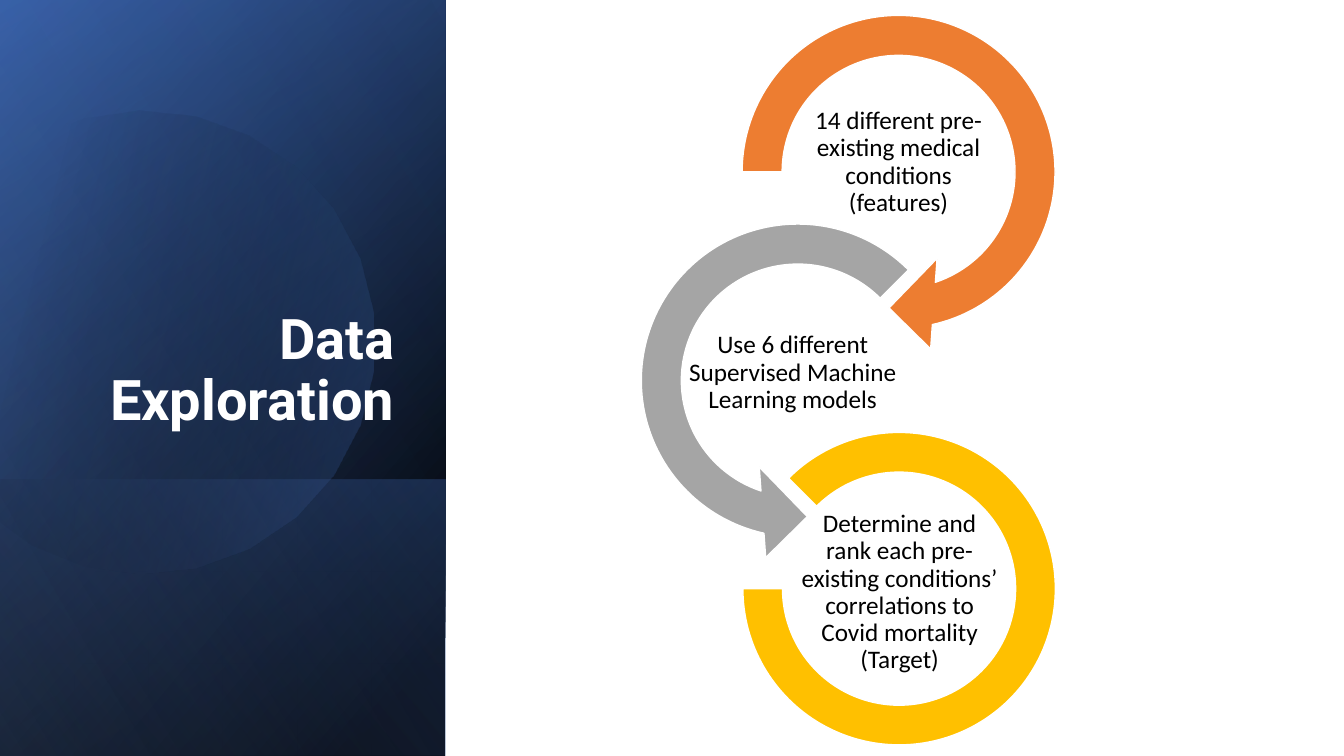
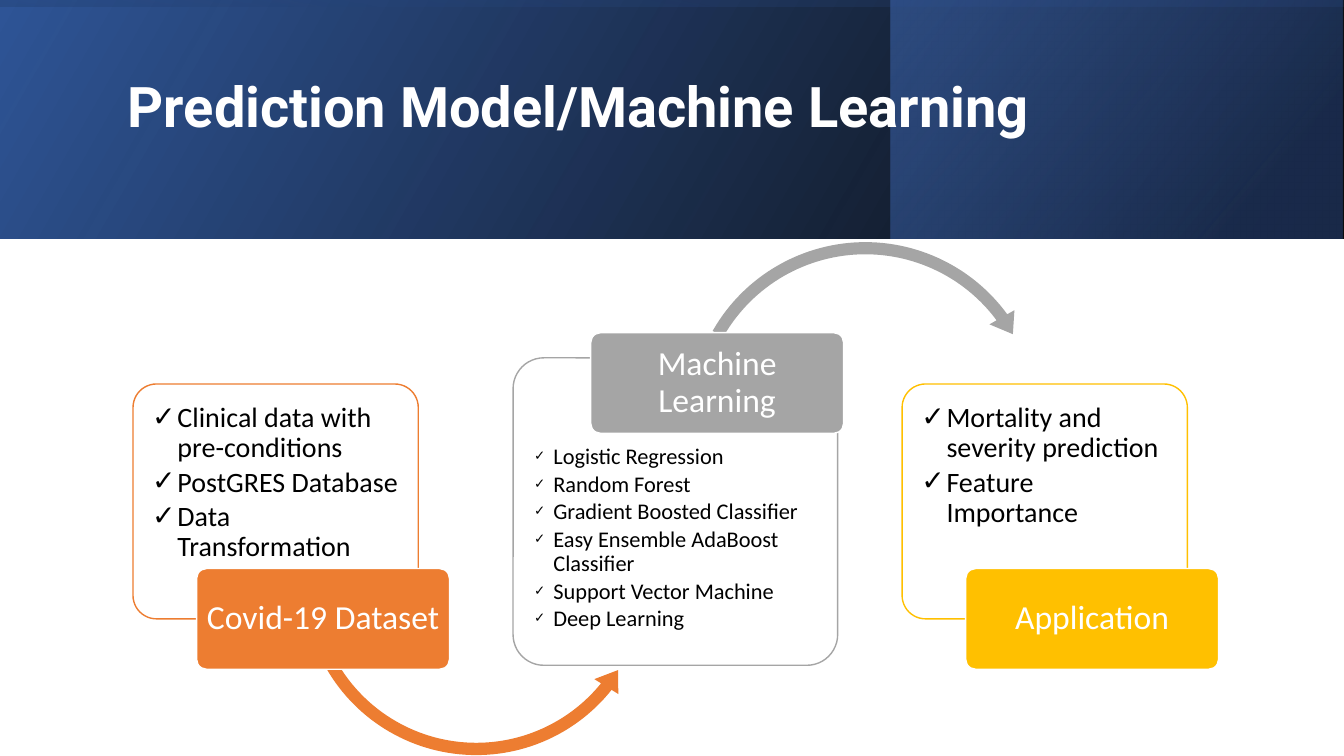
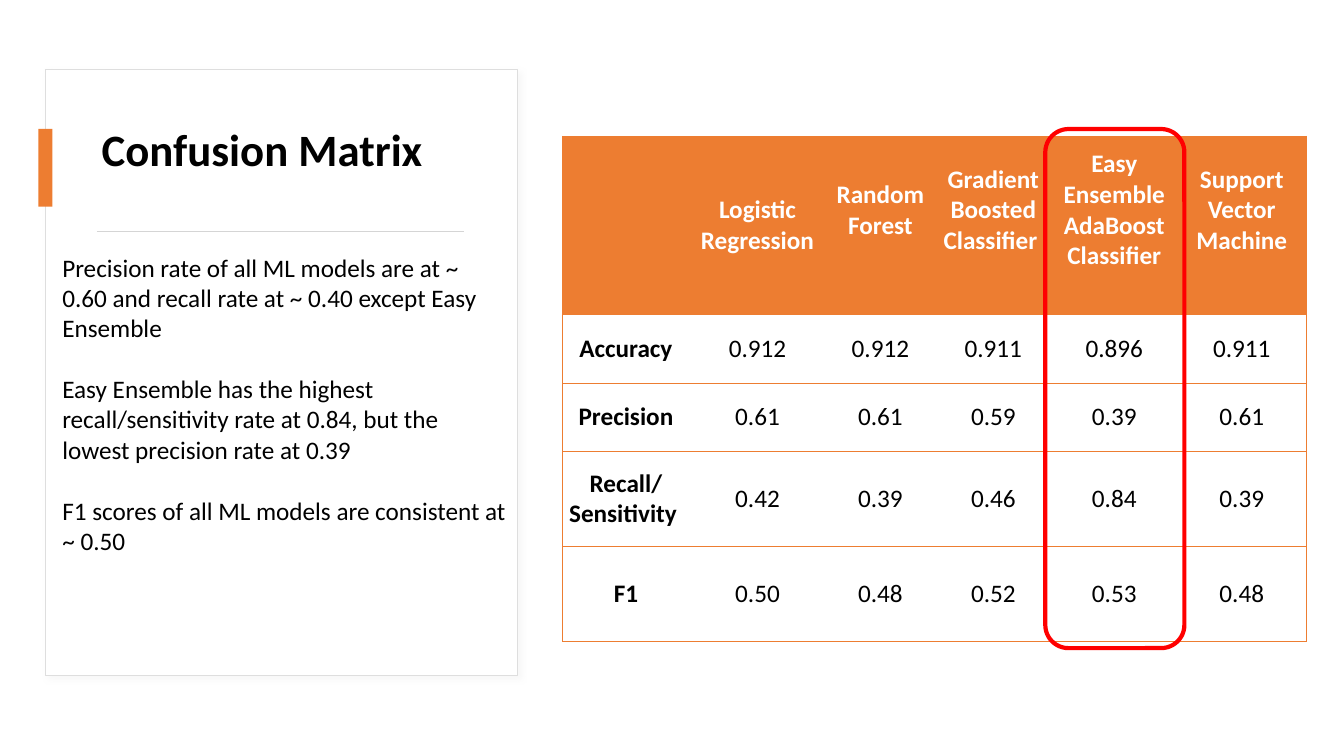
from dataclasses import dataclass
from math import cos, radians, sin
from typing import NamedTuple, Optional, Sequence

from lxml import etree
from pptx import Presentation
from pptx.dml.color import RGBColor
from pptx.enum.shapes import MSO_CONNECTOR, MSO_SHAPE
from pptx.enum.text import MSO_ANCHOR, PP_ALIGN
from pptx.oxml.ns import qn
from pptx.util import Inches, Pt

RECT = MSO_SHAPE.RECTANGLE
ROUND_RECT = MSO_SHAPE.ROUNDED_RECTANGLE
ARROW = MSO_SHAPE.CIRCULAR_ARROW
LEFT_ARROW = MSO_SHAPE.LEFT_CIRCULAR_ARROW
BLOCK_ARC = MSO_SHAPE.BLOCK_ARC
STRAIGHT = MSO_CONNECTOR.STRAIGHT
LEFT, CENTER, RIGHT = PP_ALIGN.LEFT, PP_ALIGN.CENTER, PP_ALIGN.RIGHT
TOP, MIDDLE, BOTTOM = MSO_ANCHOR.TOP, MSO_ANCHOR.MIDDLE, MSO_ANCHOR.BOTTOM
NO_STYLE = "{2D5ABB26-0587-4C30-8999-92F81FD0307C}"


@dataclass(frozen=True)
class Theme:
    black: str = "000000"
    white: str = "FFFFFF"
    navy: str = "2F5597"
    deep: str = "203864"
    blue: str = "4472C4"
    sky: str = "8FAADC"
    orange: str = "ED7D31"
    gray: str = "A5A5A5"
    gold: str = "FFC000"
    red: str = "FF0000"
    edge: str = "DEDEDE"
    rule: str = "D5D5D5"
    shade: str = "D9D9D9"
    body_font: str = "Calibri"
    title_font: str = "Roboto"
    title: int = 40
    panel_title: int = 32
    heading: int = 24
    bullet: int = 20
    body: int = 18
    small: int = 16


T = Theme()


class Box(NamedTuple):
    x: float
    y: float
    w: float
    h: float


class Stop(NamedTuple):
    at: int
    color: str
    alpha: int = 100


class Gradient(NamedTuple):
    start: Stop
    end: Stop
    angle: int


class Band(NamedTuple):
    box: Box
    rotation: int
    gradient: Gradient


class Ring(NamedTuple):
    kind: MSO_SHAPE
    box: Box
    color: str
    adjust: Sequence[float]
    text: str = ""
    text_box: Optional[Box] = None


class Card(NamedTuple):
    body: Box
    text_box: Box
    heading: Box
    color: str
    title: str
    items: Sequence[str]
    size: int
    indent: float
    bullet_size: int
    arrow: Optional[Ring] = None


def rgb(color):
    return RGBColor.from_string(color)


def emu(box: Box):
    return [Inches(v) for v in box]


def set_alpha(sp, alphas: Sequence[int]):
    for clr, alpha in zip(sp._element.spPr.iter(qn("a:srgbClr")), alphas):
        if alpha < 100:
            etree.SubElement(clr, qn("a:alpha"), val=str(alpha * 1000))


def style(sp, fill=None, alpha=100, line=None, width=1.0):
    sp.shadow.inherit = False
    if isinstance(fill, Gradient):
        sp.fill.gradient()
        sp.fill.gradient_angle = (360 - fill.angle) % 360
        for stop, wanted in zip(sp.fill.gradient_stops, fill[:2]):
            stop.position = wanted.at / 100
            stop.color.rgb = rgb(wanted.color)
        set_alpha(sp, [s.alpha for s in fill[:2]])
    elif fill:
        sp.fill.solid()
        sp.fill.fore_color.rgb = rgb(fill)
        set_alpha(sp, [alpha])
    else:
        sp.fill.background()
    if line:
        sp.line.color.rgb = rgb(line)
        sp.line.width = Pt(width)
    else:
        sp.line.fill.background()


def add_shape(slide, kind, box: Box, adjust: Sequence[float] = (), **look):
    sp = slide.shapes.add_shape(kind, *emu(box))
    for i, value in enumerate(adjust):
        sp.adjustments[i] = value
    style(sp, **look)
    return sp


def write(tf, lines: Sequence[str], *, size, color=T.black, font=T.body_font,
          bold=False, align=LEFT, spacing=None, before=0.0, after=0.0,
          indent=0.0, bullet_size=100):
    for i, line in enumerate(lines):
        p = tf.paragraphs[0] if i == 0 else tf.add_paragraph()
        p.alignment = align
        if spacing:
            p.line_spacing = spacing
        p.space_before = Pt(before if i else 0)
        p.space_after = Pt(after)
        r = p.add_run()
        r.text = line
        r.font.size, r.font.name, r.font.bold = Pt(size), font, bold
        r.font.color.rgb = rgb(color)
        if indent:
            pPr = p._p.get_or_add_pPr()
            pPr.set("marL", str(Inches(indent)))
            pPr.set("indent", str(-Inches(indent)))
            etree.SubElement(pPr, qn("a:buSzPct"), val=str(bullet_size * 1000))
            etree.SubElement(pPr, qn("a:buFont"), typeface=font)
            etree.SubElement(pPr, qn("a:buChar"), char="✓")


def set_frame(tf, anchor, insets):
    tf.word_wrap = True
    tf.vertical_anchor = anchor
    tf.margin_left, tf.margin_top, tf.margin_right, tf.margin_bottom = [
        Inches(v) for v in insets]


def add_text(slide, box: Box, lines, *, anchor=TOP,
             insets=(0.1, 0.05, 0.1, 0.05), **fmt):
    tf = slide.shapes.add_textbox(*emu(box)).text_frame
    set_frame(tf, anchor, insets)
    write(tf, lines, **fmt)


def add_title(slide, box: Box, text: str, **fmt):
    fmt = dict(size=T.title, font=T.title_font, color=T.white,
               anchor=MIDDLE, bold=True, spacing=0.9) | fmt
    add_text(slide, box, [text], **fmt)


def add_band(slide, band: Band):
    sp = add_shape(slide, RECT, band.box, fill=band.gradient)
    sp.rotation = band.rotation
    sp._element.spPr.find(qn("a:xfrm")).set("flipH", "1")


def add_ring(slide, ring: Ring, line=None):
    add_shape(slide, ring.kind, ring.box, ring.adjust, fill=ring.color, line=line)
    if ring.text_box:
        add_text(slide, ring.text_box, [ring.text], size=T.body, align=CENTER,
                 anchor=MIDDLE, spacing=0.9, insets=[0.01] * 4)


def arc_adjust(thick, head_angle, end, start, head):
    return thick / 100, head_angle * 0.6, end * 0.6, start * 0.6, head / 100


def add_disc(slide):
    cx, cy, radius = 1.42, 3.35, 2.3
    points = [(Inches(cx + radius * cos(radians(a))),
               Inches(cy + radius * sin(radians(a)))) for a in range(-117, 150, 14)]
    builder = slide.shapes.build_freeform(*points[0])
    builder.add_line_segments(points[1:], close=True)
    sp = builder.convert_to_shape()
    style(sp, fill=Gradient(Stop(29, T.black, 0), Stop(100, T.blue, 43), 30))
    sp.rotation = 343.9


SIDE = Box(-1.54, 1.54, 7.5, 4.42)
SIDE_BANDS = [
    Band(SIDE, 90, Gradient(Stop(8, T.black), Stop(100, T.navy), 50)),
    Band(SIDE, 90, Gradient(Stop(0, T.black, 0), Stop(99, T.blue, 46), 30)),
    Band(Box(0.84, 3.92, 2.74, 4.42), 90,
         Gradient(Stop(2, T.blue, 29), Stop(100, T.black, 30), 130)),
]
SIDE_GLOSS = Band(SIDE, 90, Gradient(Stop(0, T.black, 0), Stop(99, T.sky, 11), 120))
TOP_BANDS = [
    Band(Box(0, 0, 13.33, 2.37), 0,
         Gradient(Stop(0, T.black, 96), Stop(100, T.navy), 330)),
    Band(Box(8.84, 0, 4.48, 2.37), 0,
         Gradient(Stop(19, T.deep, 68), Stop(100, T.blue, 48), 320)),
    Band(Box(5.48, -5.48, 2.37, 13.33), 270,
         Gradient(Stop(23, T.navy, 16), Stop(99, T.black, 45), 350)),
]
RINGS = [
    Ring(ARROW, Box(7.11, -0.1, 3.61, 3.61), T.orange,
         arc_adjust(11, 19.04, 75, 180, 12.5),
         "14 different pre-existing medical conditions (features)",
         Box(7.91, 1.11, 2.01, 1)),
    Ring(LEFT_ARROW, Box(6.11, 1.97, 3.61, 3.61), T.gray,
         arc_adjust(11, 19.04, 105, 315, 12.5),
         "Use 6 different Supervised Machine Learning models",
         Box(6.68, 3.2, 2.37, 1)),
    Ring(BLOCK_ARC, Box(7.37, 4.29, 3.1, 3.1), T.gold, (135, 108, 12.7 / 100),
         "Determine and rank each pre-existing conditions’ correlations to "
         "Covid mortality (Target)", Box(7.92, 5.38, 2.01, 1)),
]
CARDS = [
    Card(Box(1.32, 3.81, 2.83, 2.33), Box(1.37, 3.86, 2.72, 1.72),
         Box(1.95, 5.64, 2.51, 1), T.orange, "Covid-19 Dataset",
         ["Clinical data with pre-conditions", "PostGRES Database",
          "Data Transformation"], T.bullet, 0.25, 100,
         Ring(LEFT_ARROW, Box(2.93, 3.98, 3.59, 3.59), T.orange,
              arc_adjust(3.4, 6.94, 38.77, 152.65, 3.9))),
    Card(Box(5.09, 3.55, 3.22, 3.05), Box(5.16, 4.28, 3.08, 2.26),
         Box(5.86, 3.3, 2.51, 1), T.gray, "Machine Learning",
         ["Logistic Regression", "Random Forest", "Gradient Boosted Classifier",
          "Easy Ensemble AdaBoost Classifier", "Support Vector Machine",
          "Deep Learning"], T.small, 0.19, 60,
         Ring(ARROW, Box(6.76, 2.32, 3.65, 3.65), T.gray,
              arc_adjust(3.3, 6.81, 323.65, 209.64, 3.9))),
    Card(Box(8.95, 3.81, 2.83, 2.33), Box(9, 3.86, 2.72, 1.72),
         Box(9.58, 5.64, 2.51, 1), T.gold, "Application",
         ["Mortality and severity prediction", "Feature Importance"],
         T.bullet, 0.25, 100),
]
COL_WIDTHS = [1.26, 1.35, 1.09, 1.15, 1.25, 1.28]
ROW_HEIGHTS = [1.77, 0.68, 0.68, 0.94, 0.94]
SCORES = [
    ["", "Logistic Regression", "Random Forest", "Gradient Boosted Classifier ",
     "Easy Ensemble AdaBoost\nClassifier", "Support Vector Machine"],
    ["Accuracy", "0.912", "0.912", "0.911", "0.896", "0.911"],
    ["Precision", "0.61", "0.61", "0.59", "0.39", "0.61"],
    ["Recall/\nSensitivity ", "0.42", "0.39", "0.46", "0.84", "0.39"],
    ["F1", "0.50", "0.48", "0.52", "0.53", "0.48"],
]
FINDINGS = [
    "Precision rate of all ML models are at ~ 0.60 and recall rate at ~ 0.40 "
    "except Easy Ensemble",
    "Easy Ensemble has the highest recall/sensitivity rate at 0.84, but the "
    "lowest precision rate at 0.39",
    "F1 scores of all ML models are consistent at ~ 0.50",
]


def add_card(slide, card: Card):
    add_shape(slide, ROUND_RECT, card.body, [0.1], fill=T.white, alpha=90,
              line=card.color)
    add_text(slide, card.text_box, card.items, size=card.size, spacing=0.9,
             after=card.size * 0.15, indent=card.indent,
             bullet_size=card.bullet_size, insets=[0.14] * 4)
    if card.arrow:
        add_ring(slide, card.arrow)
    sp = add_shape(slide, ROUND_RECT, card.heading, [0.1], fill=card.color,
                   line=T.white)
    set_frame(sp.text_frame, MIDDLE, (0.05, 0.03, 0.05, 0.03))
    write(sp.text_frame, [card.title], size=T.heading, color=T.white,
          align=CENTER, spacing=0.9)


def set_borders(cell, sides: Sequence[str]):
    tcPr = cell._tc.get_or_add_tcPr()
    for i, side in enumerate(sides):
        ln = etree.Element(qn(f"a:ln{side}"), w=str(Pt(0.5)))
        fill = etree.SubElement(ln, qn("a:solidFill"))
        etree.SubElement(fill, qn("a:srgbClr"), val=T.orange)
        tcPr.insert(i, ln)


def add_scores(slide, box: Box):
    frame = slide.shapes.add_table(len(SCORES), len(COL_WIDTHS), *emu(box))
    next(frame._element.iter(qn("a:tableStyleId"))).text = NO_STYLE
    table = frame.table
    for col, width in zip(table.columns, COL_WIDTHS):
        col.width = Inches(width)
    for row, height in zip(table.rows, ROW_HEIGHTS):
        row.height = Inches(height)
    last = len(COL_WIDTHS) - 1
    for i, values in enumerate(SCORES):
        for j, value in enumerate(values):
            cell = table.cell(i, j)
            header = i == 0
            cell.fill.solid()
            cell.fill.fore_color.rgb = rgb(T.orange if header else T.white)
            cell.vertical_anchor = MIDDLE
            cell.margin_left = cell.margin_right = Inches(0.05)
            cell.margin_top = Inches(0.02)
            cell.margin_bottom = Inches(0.32 if header and j > 1 else 0.02)
            if value:
                write(cell.text_frame, value.split("\n"), size=T.body,
                      align=CENTER, bold=header or j == 0,
                      color=T.white if header else T.black)
            set_borders(cell, ["L"] * (j == 0) + ["R"] * (j == last) + ["T", "B"])


def build_exploration(slide):
    add_shape(slide, RECT, Box(0, 0, 13.33, 7.5), fill=T.white)
    for band in SIDE_BANDS:
        add_band(slide, band)
    add_disc(slide)
    add_band(slide, SIDE_GLOSS)
    add_title(slide, Box(0.51, 0.64, 3.5, 3.7), "Data Exploration",
              anchor=BOTTOM, align=RIGHT)
    for ring in RINGS:
        add_ring(slide, ring, line=T.white)


def build_model(slide):
    for band in TOP_BANDS:
        add_band(slide, band)
    add_title(slide, Box(1.17, 0.22, 10.63, 1.72),
              "Prediction Model/Machine Learning")
    for card in CARDS:
        add_card(slide, card)


def build_matrix(slide):
    panel = add_shape(slide, RECT, Box(0.45, 0.69, 4.68, 6.01), fill=T.white,
                      line=T.edge, width=0.75)
    effects = panel._element.spPr.find(qn("a:effectLst"))
    shadow = etree.SubElement(effects, qn("a:outerShdw"), blurRad=str(Pt(4)),
                              dist=str(Pt(3)), dir="2700000", algn="tl")
    clr = etree.SubElement(shadow, qn("a:srgbClr"), val=T.shade)
    etree.SubElement(clr, qn("a:alpha"), val="20000")
    add_title(slide, Box(0.91, 0.9, 3.73, 1.21), "Confusion Matrix",
              size=T.panel_title, font=T.body_font, color=T.black)
    add_shape(slide, RECT, Box(0.38, 1.28, 0.14, 0.77), fill=T.orange)
    rule = slide.shapes.add_connector(STRAIGHT, Inches(0.96), Inches(2.3),
                                      Inches(4.6), Inches(2.3))
    rule.line.color.rgb = rgb(T.rule)
    rule.line.width = Pt(0.75)
    etree.SubElement(rule._element.spPr, qn("a:effectLst"))
    add_scores(slide, Box(5.58, 1.35, sum(COL_WIDTHS), sum(ROW_HEIGHTS)))
    add_text(slide, Box(0.52, 2.45, 4.6, 3.74), FINDINGS, size=T.body, before=22)
    add_shape(slide, ROUND_RECT, Box(10.37, 1.28, 1.38, 5.15), line=T.red, width=3)


def main():
    prs = Presentation()
    prs.slide_width, prs.slide_height = Inches(40 / 3), Inches(7.5)
    for build in (build_exploration, build_model, build_matrix):
        build(prs.slides.add_slide(prs.slide_layouts[6]))
    prs.save("out.pptx")


if __name__ == "__main__":
    main()
